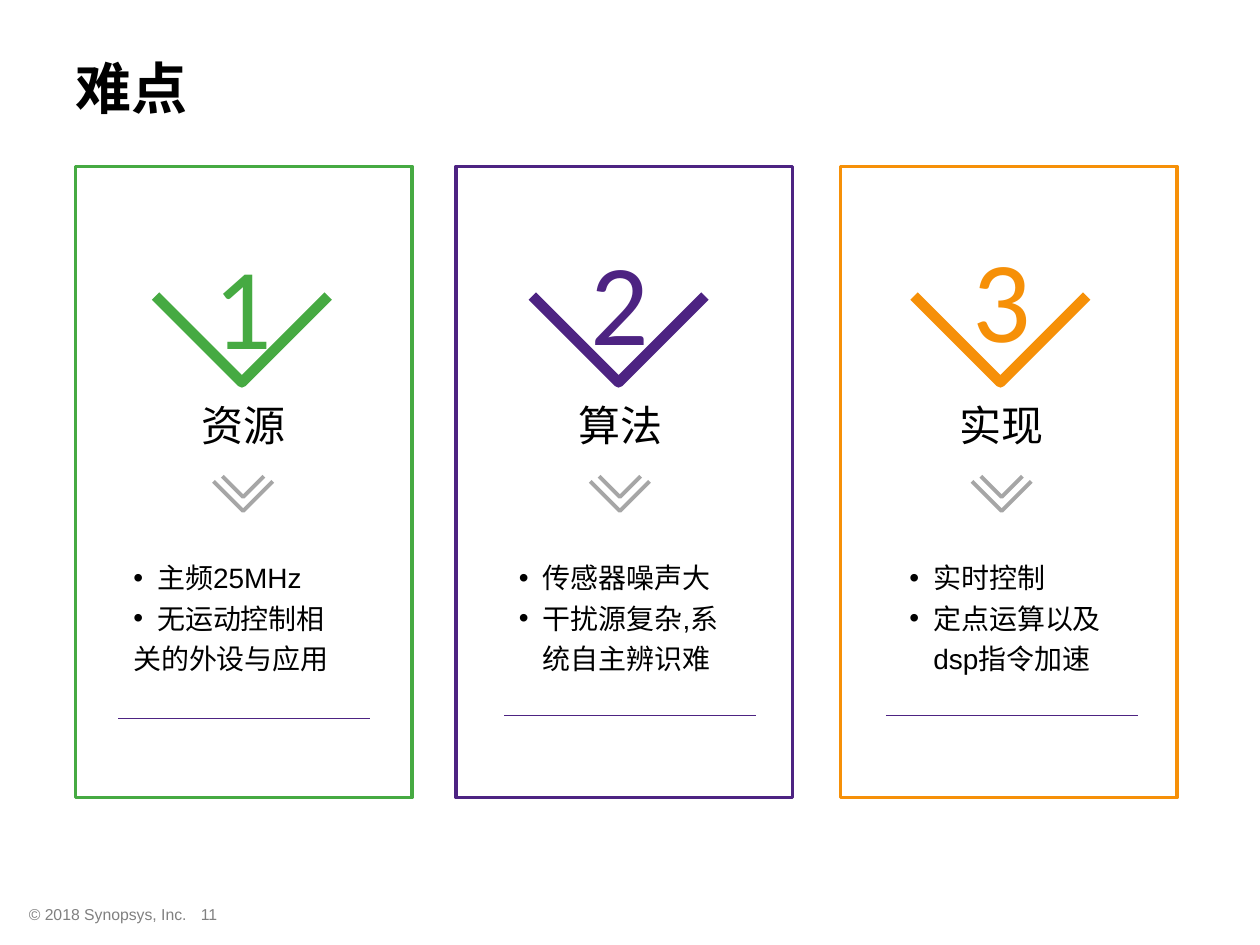
from lxml.etree import SubElement
from pptx import Presentation
from pptx.dml.color import RGBColor
from pptx.enum.shapes import MSO_CONNECTOR, MSO_SHAPE
from pptx.enum.text import MSO_ANCHOR, PP_ALIGN
from pptx.oxml.ns import qn
from pptx.util import Inches, Pt

TITLE = "难点"
FOOTER = [("© 2018 Synopsys, Inc.", 0.13, 3.08, PP_ALIGN.LEFT),
          ("11", 1.31, 0.7, PP_ALIGN.CENTER)]
BLACK, GREY, CHEVRON_GREY, PURPLE = "000000", "808080", "A6A6A6", "4D2382"

# axis: centre line of the card's content; body: left and width of its text
CARDS = [
    {"number": "1", "name": "资源", "color": "46AA42", "left": 0.6, "axis": 1.93,
     "number_top": 1.81, "body": (0.96, 1.77), "wrap": False, "rule": (0.94, 5.7),
     "points": ["主频25MHz", "无运动控制相"], "tail": ["关的外设与应用"]},
    {"number": "2", "name": "算法", "color": PURPLE, "left": 3.62, "axis": 4.92,
     "number_top": 1.78, "body": (4.02, 1.98), "wrap": True, "rule": (4, 5.68),
     "points": ["传感器噪声大", "干扰源复杂,系统自主辨识难"], "tail": []},
    {"number": "3", "name": "实现", "color": "F69008", "left": 6.67, "axis": 7.95,
     "number_top": 1.75, "body": (7.12, 1.8), "wrap": True, "rule": (7.03, 5.68),
     "points": ["实时控制", "定点运算以及dsp指令加速"], "tail": []},
]
CARD_TOP, CARD_WIDTH, CARD_HEIGHT = 1.32, 2.67, 5.01
RULE_LENGTH = 2
SMALL_CHEVRONS = [(3.82, 0.47), (3.78, 0.33)]  # top, width

presentation = Presentation()
presentation.slide_width, presentation.slide_height = Inches(10), Inches(7.5)
slide = presentation.slides.add_slide(presentation.slide_layouts[6])


def rgb(color):
    return RGBColor.from_string(color)


def set_line(shape, color, width):
    shape.line.color.rgb = rgb(color)
    shape.line.width = Pt(width)


def add_bullet(paragraph):
    properties = paragraph._p.get_or_add_pPr()
    properties.set("marL", str(Inches(0.19)))
    properties.set("indent", str(-Inches(0.19)))
    SubElement(properties, qn("a:buFont")).set("typeface", "Arial")
    SubElement(properties, qn("a:buChar")).set("char", "•")


def add_text(lines, left, top, width, height, size, color=BLACK, font="Arial", bold=False,
             wrap=True, align=PP_ALIGN.LEFT, anchor=MSO_ANCHOR.TOP, bullets=0, spacing=None):
    """Write lines as paragraphs; the first `bullets` of them get a bullet."""
    box = slide.shapes.add_textbox(*map(Inches, (left, top, width, height)))
    frame = box.text_frame
    frame.word_wrap, frame.vertical_anchor = wrap, anchor
    font_format = {"name": font, "size": Pt(size), "bold": bold}
    for index, line in enumerate(lines):
        paragraph = frame.add_paragraph() if index else frame.paragraphs[0]
        paragraph.alignment = align
        if spacing:
            paragraph.line_spacing = spacing
        if index < bullets:
            add_bullet(paragraph)
        run = paragraph.add_run()
        run.text = line
        for name, value in font_format.items():
            setattr(run.font, name, value)
        run.font.color.rgb = rgb(color)


def add_chevron(axis, top, width, color, weight):
    half = width / 2
    builder = slide.shapes.build_freeform(Inches(axis + half), Inches(top))
    builder.add_line_segments([(Inches(axis), Inches(top + half)),
                               (Inches(axis - half), Inches(top))], close=False)
    chevron = builder.convert_to_shape()
    chevron.shadow.inherit = False
    chevron.fill.background()
    set_line(chevron, color, weight)


def add_card(card):
    axis, color = card["axis"], card["color"]
    # Frame
    frame = slide.shapes.add_shape(MSO_SHAPE.RECTANGLE, *map(
        Inches, (card["left"], CARD_TOP, CARD_WIDTH, CARD_HEIGHT)))
    frame.shadow.inherit = False
    frame.fill.background()
    set_line(frame, color, 2)
    # Number in its large chevron
    add_text([card["number"]], axis - 0.335, card["number_top"], 0.67, 1.21, 66, color,
             font="Calibri", wrap=False, align=PP_ALIGN.CENTER)
    add_chevron(axis - 0.01, 2.35, 1.37, color, 6)
    # Name and small double chevron
    add_text([card["name"]], axis - 0.43, 3.12, 0.88, 0.5, 24, wrap=False)
    for top, width in SMALL_CHEVRONS:
        add_chevron(axis, top, width, CHEVRON_GREY, 2.25)
    # Points and closing rule
    left, width = card["body"]
    add_text(card["points"] + card["tail"], left, 4.35, width, 1.31, 16,
             wrap=card["wrap"], bullets=len(card["points"]), spacing=1.2)
    left, top = card["rule"]
    rule = slide.shapes.add_connector(MSO_CONNECTOR.STRAIGHT, *map(
        Inches, (left, top, left + RULE_LENGTH, top)))
    set_line(rule, PURPLE, 0.75)
    SubElement(rule._element.spPr, qn("a:effectLst"))


# Title, footer and the three cards
add_text([TITLE], 0.5, 0.07, 9.5, 1.25, 32, bold=True, anchor=MSO_ANCHOR.MIDDLE)
for text, left, width, align in FOOTER:
    add_text([text], left, 7.13, width, 0.25, 9, GREY, align=align)
for card in CARDS:
    add_card(card)

presentation.save("out.pptx")
